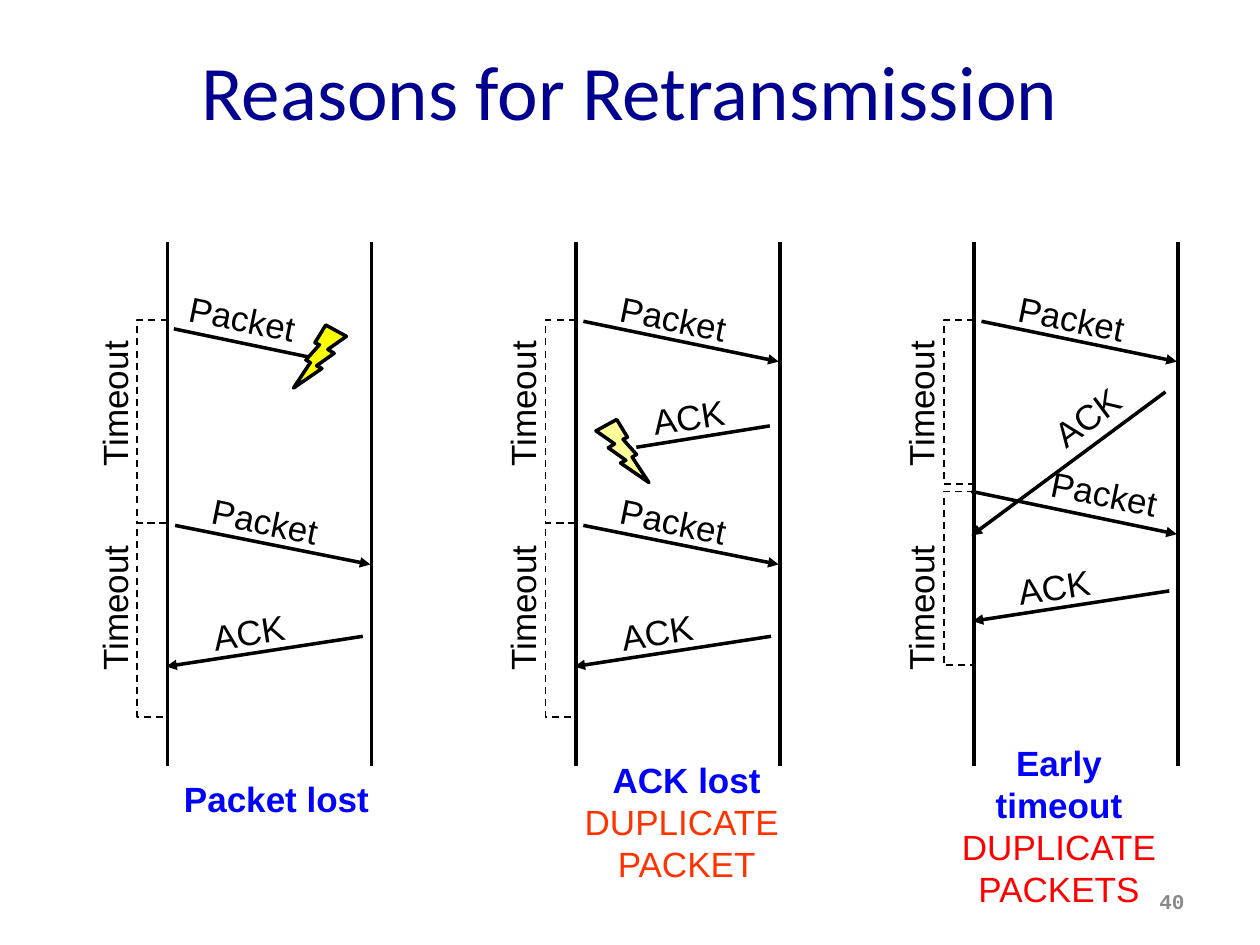
from lxml.etree import SubElement
from pptx import Presentation
from pptx.dml.color import RGBColor
from pptx.enum.dml import MSO_LINE
from pptx.enum.shapes import MSO_CONNECTOR as Link, MSO_SHAPE as Preset
from pptx.enum.text import MSO_ANCHOR as Anchor, PP_ALIGN as Align
from pptx.oxml.ns import qn
from pptx.util import Inches, Pt

BLACK, BLUE = "000000", "0000FF"
DOWN, UP, STEEP = 11.5, 351.2, 323.4


def colour(value):
    return RGBColor.from_string(value)


class Sketch:
    """Holds the text and line style and draws elements on one page."""

    style = {"name": "Arial", "size": Pt(20), "bold": False}
    stroke = Pt(2)

    def __init__(self, page):
        self.page = page

    def text(self, place, lines, align=Align.CENTER, rotation=0, wrap=True, **style):
        box = self.page.shapes.add_textbox(*map(Inches, place))
        box.rotation = rotation
        frame = box.text_frame
        frame.word_wrap = wrap
        frame.vertical_anchor = Anchor.MIDDLE
        for index, (words, ink, bold) in enumerate(lines):
            para = frame.paragraphs[0] if index == 0 else frame.add_paragraph()
            para.text = words
            para.alignment = align
            for span in para.runs:
                for key, value in {**self.style, "bold": bold, **style}.items():
                    setattr(span.font, key, value)
                span.font.color.rgb = colour(ink)

    def outline(self, shape, width):
        shape.line.color.rgb = colour(BLACK)
        shape.line.width = width

    def line(self, start, end, arrow=False):
        link = self.page.shapes.add_connector(
            Link.STRAIGHT, *map(Inches, (*start, *end)))
        self.outline(link, self.stroke)
        if arrow:
            SubElement(link.line._get_or_add_ln(), qn("a:tailEnd"), type="triangle")
        SubElement(link.element.spPr, qn("a:effectLst"))

    def message(self, left, words, start, end, corner, tilt, arrow=True):
        (x1, y1), (x2, y2) = start, end
        self.line((left + x1, y1), (left + x2, y2), arrow)
        width = 1.05 if words == "Packet" else 0.77
        self.text((left + corner[0], corner[1], width, 0.43),
                  [(words, BLACK, False)], rotation=tilt, wrap=False)

    def timeout(self, left, top, bottom, label_top):
        corners = [(left - 0.24, top), (left - 0.24, bottom), (left, bottom)]
        builder = self.page.shapes.build_freeform(Inches(left), Inches(top))
        builder.add_line_segments(
            [(Inches(x), Inches(y)) for x, y in corners], close=False)
        bracket = builder.convert_to_shape()
        bracket.shadow.inherit = False
        bracket.fill.background()
        self.outline(bracket, Pt(1))
        bracket.line.dash_style = MSO_LINE.DASH
        self.text((left - 1.09, label_top, 1.33, 0.43),
                  [("Timeout", BLACK, False)], rotation=270)

    def bolt(self, left, top, fill, flip=False):
        bolt = self.page.shapes.add_shape(
            Preset.LIGHTNING_BOLT, *map(Inches, (left, top, 0.42, 0.5)))
        bolt.shadow.inherit = False
        bolt.fill.solid()
        bolt.fill.fore_color.rgb = colour(fill)
        self.outline(bolt, self.stroke)
        if flip:
            bolt.element.spPr.xfrm.set("flipH", "1")


def main():
    deck = Presentation()
    deck.slide_width, deck.slide_height = Inches(10), Inches(7.5)
    sketch = Sketch(deck.slides.add_slide(deck.slide_layouts[6]))

    sketch.text((0.5, 0.09, 9, 1.25), [("Reasons for Retransmission", "000090", False)],
                name="Calibri", size=Pt(44))
    sketch.text((7.17, 6.95, 2.33, 0.4), [("40", "898989", True)],
                align=Align.RIGHT, name="Courier New", size=Pt(12))

    first_packet = ("Packet", (0.06, 2.55), (1.61, 2.87), (0.25, 2.31), DOWN)
    second_packet = ("Packet", (0.06, 4.17), (1.61, 4.48), (0.25, 3.92), DOWN)
    final_ack = ("ACK", (1.55, 5.05), (-0.01, 5.29), (0.26, 4.8), UP)
    even_timeouts = [(2.54, 4.15), (4.15, 5.69)]
    scenarios = [
        (1.33, even_timeouts, [
            ("Packet", (0.05, 2.61), (1.2, 2.85), (0.07, 2.31), DOWN, False),
            second_packet, final_ack]),
        (4.57, even_timeouts, [
            first_packet,
            ("ACK", (1.54, 3.38), (0.48, 3.55), (0.51, 3.09), UP, False),
            second_packet, final_ack]),
        (7.73, [(2.54, 3.84), (3.9, 5.28)], [
            first_packet,
            ("ACK", (1.52, 3.11), (-0.02, 4.25), (0.51, 3.09), STEEP),
            ("Packet", (-0.02, 3.9), (1.61, 4.24), (0.51, 3.7), DOWN),
            ("ACK", (1.55, 4.69), (-0.01, 4.93), (0.25, 4.44), UP)]),
    ]
    for left, timeouts, messages in scenarios:
        for (top, bottom), label_top in zip(timeouts, (2.99, 4.61)):
            sketch.timeout(left, top, bottom, label_top)
        for message in messages:
            sketch.message(left, *message)
        for x in (left, left + 1.62):
            sketch.line((x, 1.92), (x, 6.08))

    sketch.bolt(2.33, 2.58, "FFFF00", flip=True)
    sketch.bolt(4.73, 3.33, "FFFF99")

    sketch.text((1.36, 6.12, 1.67, 0.43), [("Packet lost", BLUE, True)], wrap=False)
    sketch.text((4.53, 5.97, 1.84, 1.1), [
        ("ACK lost", BLUE, True), ("DUPLICATE \vPACKET", "FF3300", False)], wrap=False)
    sketch.text((7.53, 5.84, 1.75, 1.43), [
        ("Early timeout", BLUE, True), ("DUPLICATE\vPACKETS", "FF0000", False)])

    deck.save("out.pptx")


if __name__ == "__main__":
    main()
